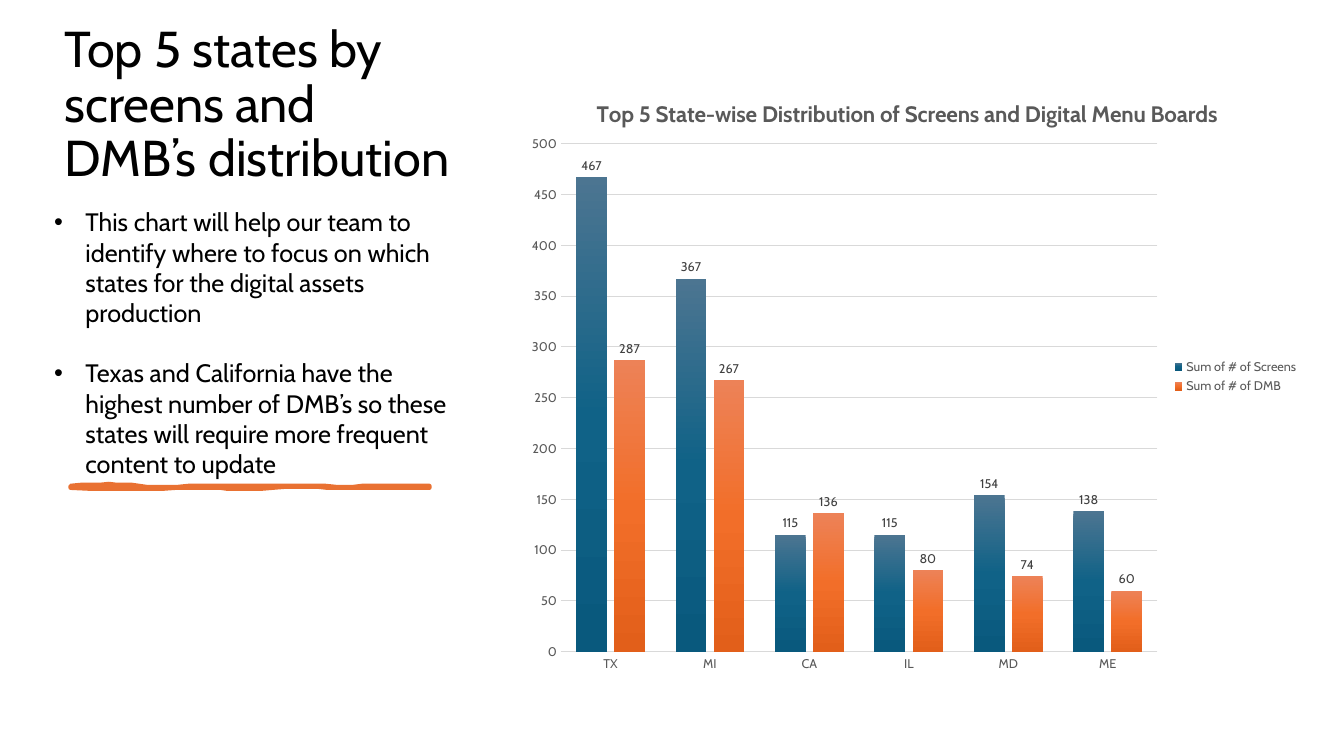
import copy

import pptx
import pptx.chart.data
import pptx.dml.color
import pptx.enum.chart
import pptx.enum.text
import pptx.oxml
import pptx.oxml.ns
import pptx.util
from lxml import etree

FONT = "Cabin"
COLORS = {"text": "000000", "muted": "595959", "label": "404040",
          "grid": "D9D9D9", "underline": "E97132"}
WIDTH, HEIGHT = pptx.util.Inches(13.33), pptx.util.Inches(7.5)

STATES = ["TX", "MI", "CA", "IL", "MD", "ME"]
# Series name, values, and gradient colours from top to bottom
MEASURES = [
    ("Sum of # of Screens", [467, 367, 115, 115, 154, 138], ["4C7591", "106287", "09597D"]),
    ("Sum of # of DMB", [287, 267, 136, 80, 74, 60], ["ED8257", "F26E29", "E25F1A"]),
]
POINTS = [
    "This chart will help our team to identify where to focus on which states "
    "for the digital assets production",
    "Texas and California have the highest number of DMB’s so these states will "
    "require more frequent content to update",
]
# Bezier control points of the hand-drawn line, in hundredths of an inch
UNDERLINE = [
    (70, 482), (97, 480), (121, 480), (138, 482), (155, 484), (177, 482), (209, 482),
    (241, 482), (260, 483), (284, 482), (308, 481), (339, 484), (359, 482),
    (379, 481), (412, 483), (426, 482), (426, 483), (426, 484), (426, 484),
    (408, 485), (364, 483), (348, 484), (332, 485), (304, 481), (270, 484),
    (235, 487), (231, 484), (199, 484), (166, 484), (132, 486), (70, 484),
]


def rgb(name):
    return pptx.dml.color.RGBColor.from_string(COLORS.get(name, name))


def area(left, top, width, height):
    """Turn percentages of the slide into a position and size."""
    return (int(WIDTH * left / 100), int(HEIGHT * top / 100),
            int(WIDTH * width / 100), int(HEIGHT * height / 100))


def style(font, size, color, bold=False):
    font.name, font.size, font.bold = FONT, pptx.util.Pt(size), bold
    font.color.rgb = rgb(color)


def add_text(slide, box, paragraphs, size, anchor, bulleted=False):
    frame = slide.shapes.add_textbox(*box).text_frame
    frame.word_wrap = True
    frame.vertical_anchor = anchor
    for index, text in enumerate(paragraphs):
        paragraph = frame.add_paragraph() if index else frame.paragraphs[0]
        paragraph.text = text
        if bulleted:
            add_bullet(paragraph)
        else:
            paragraph.line_spacing = 0.9
        if index:
            paragraph.space_before = pptx.util.Pt(21.6)
        style(paragraph.font, size, "text")


def add_bullet(paragraph):
    properties = paragraph._p.get_or_add_pPr()
    indent = pptx.util.Inches(0.31)
    properties.set("marL", str(indent))
    properties.set("indent", str(-indent))
    for tag, key, value in (("a:buFont", "typeface", "Arial"), ("a:buChar", "char", "•")):
        etree.SubElement(properties, pptx.oxml.ns.qn(tag)).set(key, value)


def add_underline(slide, controls, steps=8):
    outline = []
    for start in range(0, len(controls) - 1, 3):
        curve = controls[start:start + 4]
        for step in range(1, steps + 1):
            t = step / steps
            weights = ((1 - t) ** 3, 3 * t * (1 - t) ** 2, 3 * t * t * (1 - t), t ** 3)
            outline.append(tuple(sum(w * point[axis] for w, point in zip(weights, curve))
                                 for axis in (0, 1)))
    builder = slide.shapes.build_freeform(*controls[0], scale=pptx.util.Inches(0.01))
    builder.add_line_segments(outline, close=True)
    underline = builder.convert_to_shape()
    underline.shadow.inherit = False
    underline.fill.solid()
    underline.fill.fore_color.rgb = rgb("underline")
    underline.line.color.rgb = rgb("underline")
    underline.line.width = pptx.util.Pt(3)


def set_layout(element, inner=False, **shares):
    """Place a chart part by shares of the chart's size."""
    for old in element.findall(pptx.oxml.ns.qn("c:layout")):
        element.remove(old)
    target = '<c:layoutTarget val="inner"/>' if inner else ""
    modes = '<c:xMode val="edge"/><c:yMode val="edge"/>'
    sizes = "".join(f'<c:{key} val="{value}"/>' for key, value in shares.items())
    layout = pptx.oxml.parse_xml(
        f'<c:layout {pptx.oxml.ns.nsdecls("c")}><c:manualLayout>'
        f'{target}{modes}{sizes}</c:manualLayout></c:layout>')
    text = element.find(pptx.oxml.ns.qn("c:tx"))
    element.insert(0 if text is None else 1, layout)


def style_series(series, colors):
    fill = series.format.fill
    fill.gradient()
    fill.gradient_angle = 270
    stops = series._element.find(".//" + pptx.oxml.ns.qn("a:gsLst"))
    stops.insert(1, copy.deepcopy(stops[0]))
    for index, (stop, color) in enumerate(zip(fill.gradient_stops, colors)):
        stop.position = index / (len(colors) - 1)
        stop.color.rgb = rgb(color)
    labels = series.data_labels
    labels.show_value = True
    labels.position = pptx.enum.chart.XL_LABEL_POSITION.OUTSIDE_END
    style(labels.font, 9, "label")


def add_states_chart(slide, box):
    data = pptx.chart.data.CategoryChartData()
    data.categories = STATES
    for name, values, _ in MEASURES:
        data.add_series(name, values)
    chart = slide.shapes.add_chart(
        pptx.enum.chart.XL_CHART_TYPE.COLUMN_CLUSTERED, *box, data).chart
    style(chart.font, 10, "text")

    # Title and legend
    heading = chart.chart_title.text_frame.paragraphs[0]
    heading.text = "Top 5 State-wise Distribution of Screens and Digital Menu Boards"
    style(heading.font, 16, "muted", bold=True)
    set_layout(chart.chart_title._element, x=0.1, y=0.04)
    chart.has_legend = True
    chart.legend.position = pptx.enum.chart.XL_LEGEND_POSITION.RIGHT
    chart.legend.include_in_layout = False
    style(chart.legend.font, 9, "muted")

    # Columns
    columns = chart.plots[0]
    columns.gap_width, columns.overlap = 100, -24
    columns.vary_by_categories = False
    for series, (_, _, colors) in zip(columns.series, MEASURES):
        style_series(series, colors)
    set_layout(chart._chartSpace.chart.plotArea, inner=True, x=0.06, y=0.12, w=0.75, h=0.83)

    # Axes
    states, counts = chart.category_axis, chart.value_axis
    for axis in (states, counts):
        axis.major_tick_mark = pptx.enum.chart.XL_TICK_MARK.NONE
        style(axis.tick_labels.font, 9, "muted")
    states.format.line.color.rgb = rgb("grid")
    states.format.line.width = pptx.util.Pt(1)
    counts.minimum_scale, counts.maximum_scale, counts.major_unit = 0, 500, 50
    counts.format.line.fill.background()
    gridlines = counts.major_gridlines.format.line
    gridlines.color.rgb = rgb("grid")
    gridlines.width = pptx.util.Pt(0.75)


def main():
    deck = pptx.Presentation()
    deck.slide_width, deck.slide_height = WIDTH, HEIGHT
    slide = deck.slides.add_slide(deck.slide_layouts[6])
    anchors = pptx.enum.text.MSO_ANCHOR
    add_text(slide, area(4.05, 3.07, 30.38, 22.4),
             ["Top 5 states by screens and DMB’s distribution"], 36, anchors.BOTTOM)
    add_underline(slide, UNDERLINE)
    add_states_chart(slide, area(38.18, 9.33, 59.19, 80.93))
    add_text(slide, area(3.3, 26.67, 32.18, 37.73), POINTS, 18, anchors.TOP, bulleted=True)
    deck.save("out.pptx")


if __name__ == "__main__":
    main()
